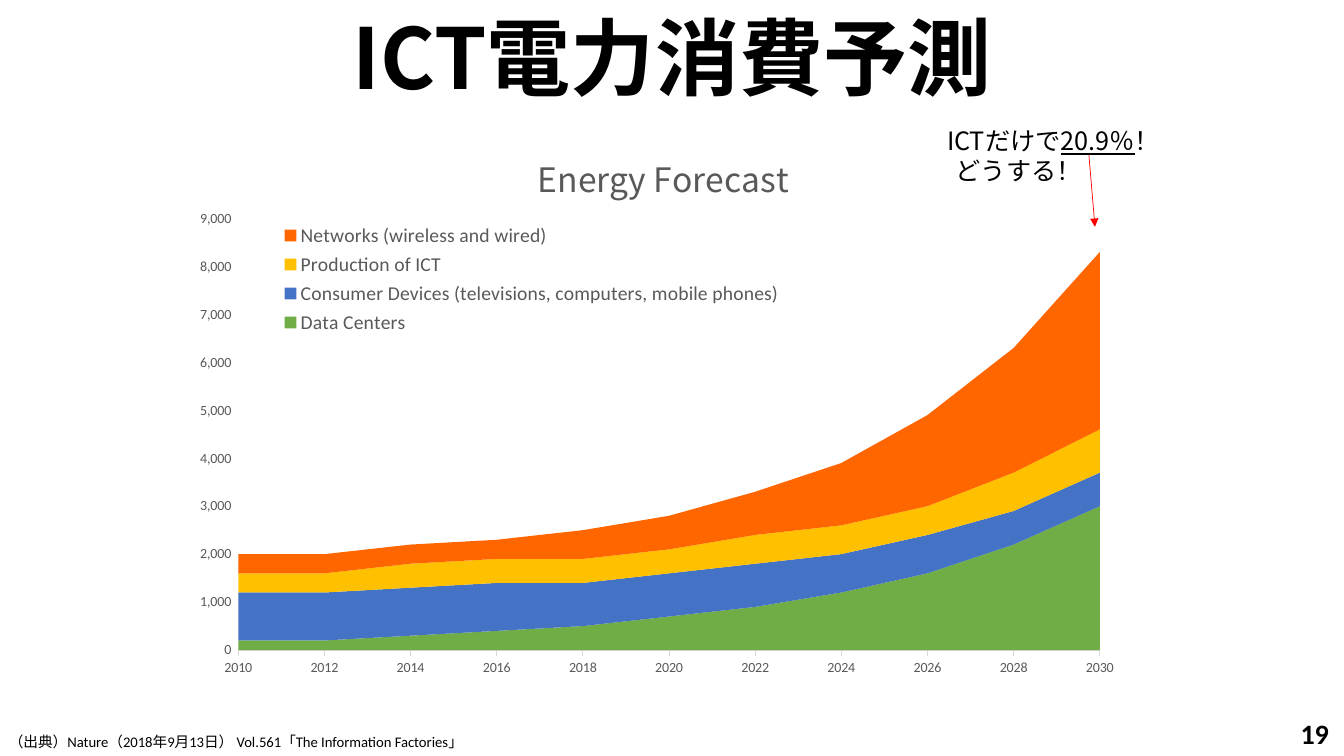
from typing import NamedTuple

from lxml.etree import SubElement
from pptx import Presentation
from pptx.chart.data import CategoryChartData
from pptx.dml.color import RGBColor
from pptx.enum.chart import XL_CHART_TYPE, XL_LEGEND_POSITION, XL_TICK_MARK
from pptx.enum.shapes import MSO_CONNECTOR
from pptx.enum.text import MSO_ANCHOR, PP_ALIGN
from pptx.oxml.ns import qn
from pptx.util import Inches, Pt

BLACK = RGBColor(0, 0, 0)
GRAY = RGBColor(0x59, 0x59, 0x59)
PALE = RGBColor(0xD9, 0xD9, 0xD9)
RED = RGBColor(0xFF, 0, 0)
GREEN = RGBColor(0x70, 0xAD, 0x47)
BLUE = RGBColor(0x44, 0x72, 0xC4)
GOLD = RGBColor(0xFF, 0xC0, 0)
ORANGE = RGBColor(0xFF, 0x66, 0)
LATIN = "Calibri"
GOTHIC = "Noto Sans CJK JP"


class Box(NamedTuple):
    """Place of an item, in inches."""
    left: float
    top: float
    width: float
    height: float


class Label(NamedTuple):
    """A text box with one look throughout."""
    box: Box
    lines: list[list[str]]
    size: float
    face: str
    bold: bool = False
    align: PP_ALIGN = PP_ALIGN.CENTER


class Band(NamedTuple):
    """One stacked area of the chart."""
    name: str
    color: RGBColor
    values: list[int]


TITLE = Label(Box(0, 0, 13.33, 1.11), [["ICT電力消費予測"]], 60, GOTHIC, True)
NOTE = Label(Box(8.88, 1.19, 3.14, 0.71),
             [["ICTだけで", "20.9％", "！"], ["どうする！"]], 18, GOTHIC)
SOURCE = Label(Box(-0.01, 7.22, 6.83, 0.28),
               [["（出典）Nature（2018年9月13日） Vol.561「The Information Factories」"]],
               10.5, LATIN, align=PP_ALIGN.LEFT)
NUMBER = Label(Box(12.75, 7.06, 0.58, 0.44), [["19"]], 20, LATIN, True)
CHART = Box(1.8, 1.14, 9.39, 5.71)
BANDS = [
    Band("Data Centers", GREEN,
         [200, 200, 300, 400, 500, 700, 900, 1200, 1600, 2200, 3000]),
    Band("Consumer Devices (televisions, computers, mobile phones)", BLUE,
         [1000, 1000, 1000, 1000, 900, 900, 900, 800, 800, 700, 700]),
    Band("Production of ICT", GOLD,
         [400, 400, 500, 500, 500, 500, 600, 600, 600, 800, 900]),
    Band("Networks (wireless and wired)", ORANGE,
         [400, 400, 400, 400, 600, 700, 900, 1300, 1900, 2600, 3700]),
]


def style(font, size: float, face: str, color: RGBColor, bold: bool = False) -> None:
    """Set the look of a font."""
    font.size, font.name, font.bold = Pt(size), face, bold
    font.color.rgb = color


def write(shape, label: Label) -> None:
    """Fill a shape with the lines of a label."""
    frame = shape.text_frame
    frame.word_wrap = True
    frame.text = "\n".join("".join(line) for line in label.lines)
    for para, line in zip(frame.paragraphs, label.lines):
        para.alignment = label.align
        if len(line) > 1:
            para.text = line[0]
            for part in line[1:]:
                para.add_run().text = part
        for run in para.runs:
            style(run.font, label.size, label.face, BLACK, label.bold)
            east = SubElement(run.font._element, qn("a:ea"))
            east.set("typeface", GOTHIC)


def add_label(slide, label: Label):
    """Add a text box for a label."""
    shape = slide.shapes.add_textbox(*map(Inches, label.box))
    write(shape, label)
    return shape


def arrange(parent, index: int, inner: bool = False, **parts: float) -> None:
    """Place a chart part by fractions of the chart."""
    for old in parent.findall(qn("c:layout")):
        parent.remove(old)
    layout = SubElement(parent, qn("c:layout"))
    parent.insert(index, layout)
    manual = SubElement(layout, qn("c:manualLayout"))
    if inner:
        SubElement(manual, qn("c:layoutTarget")).set("val", "inner")
    for key in ("xMode", "yMode"):
        SubElement(manual, qn(f"c:{key}")).set("val", "edge")
    for key, value in parts.items():
        SubElement(manual, qn(f"c:{key}")).set("val", str(value))


def add_chart(slide) -> None:
    """Add the stacked forecast."""
    data = CategoryChartData(number_format="#,##0")
    data.categories = [str(year) for year in range(2010, 2031, 2)]
    for band in BANDS:
        data.add_series(band.name, band.values)
    chart = slide.shapes.add_chart(
        XL_CHART_TYPE.AREA_STACKED, *map(Inches, CHART), data).chart
    style(chart.font, 10, LATIN, BLACK)
    for series, band in zip(chart.plots[0].series, BANDS):
        series.format.fill.solid()
        series.format.fill.fore_color.rgb = band.color
    chart.plots[0].vary_by_categories = False

    years, scale = chart.category_axis, chart.value_axis
    for axis in (years, scale):
        style(axis.tick_labels.font, 10, LATIN, GRAY)
        axis.has_major_gridlines = False
        axis.minor_tick_mark = XL_TICK_MARK.NONE
    years.major_tick_mark = XL_TICK_MARK.OUTSIDE
    years.format.line.color.rgb = PALE
    years.format.line.width = Pt(0.75)
    scale.major_tick_mark = XL_TICK_MARK.NONE
    scale.format.line.fill.background()
    scale.minimum_scale, scale.maximum_scale = 0, 9000
    scale.major_unit = 1000
    scale.tick_labels.number_format = r"#,##0_);[Red]\(#,##0\)"
    scale.tick_labels.number_format_is_linked = False

    chart.has_title = True
    para = chart.chart_title.text_frame.paragraphs[0]
    para.text = "Energy Forecast"
    style(para.runs[0].font, 24, GOTHIC, GRAY)
    chart.has_legend = True
    legend = chart.legend
    legend.position = XL_LEGEND_POSITION.RIGHT
    legend.include_in_layout = True
    style(legend.font, 14, LATIN, GRAY)
    area = chart._chartSpace.chart.plotArea
    arrange(area, 0, True, x=0.06, y=0.18, w=0.91, h=0.75)
    arrange(legend._element, 1, x=0.1, y=0.18, w=0.54, h=0.21)
    arrange(chart.chart_title._element, 1, x=0.37, y=0.05)


def add_arrow(slide) -> None:
    """Add the red arrow to the last year."""
    arrow = slide.shapes.add_connector(
        MSO_CONNECTOR.STRAIGHT, *map(Inches, (10.8, 1.54, 10.86, 2.25)))
    arrow.line.color.rgb = RED
    arrow.line.width = Pt(0.5)
    SubElement(arrow.line._get_or_add_ln(), qn("a:tailEnd")).set("type", "triangle")
    SubElement(arrow._element.spPr, qn("a:effectLst"))


def main() -> None:
    """Build and save the slide."""
    deck = Presentation()
    deck.slide_width, deck.slide_height = Inches(13.33), Inches(7.5)
    slide = deck.slides.add_slide(deck.slide_layouts[5])
    add_label(slide, SOURCE)
    add_chart(slide)
    add_arrow(slide)
    note = add_label(slide, NOTE)
    first, last = note.text_frame.paragraphs
    first.runs[1].font.underline = True
    last.alignment = PP_ALIGN.LEFT
    last._p.get_or_add_pPr().set("marL", str(Inches(0.5)))
    title = slide.shapes.title
    title.left, title.top, title.width, title.height = map(Inches, TITLE.box)
    write(title, TITLE)
    title.text_frame.vertical_anchor = MSO_ANCHOR.MIDDLE
    add_label(slide, NUMBER)
    deck.save("out.pptx")


if __name__ == "__main__":
    main()
